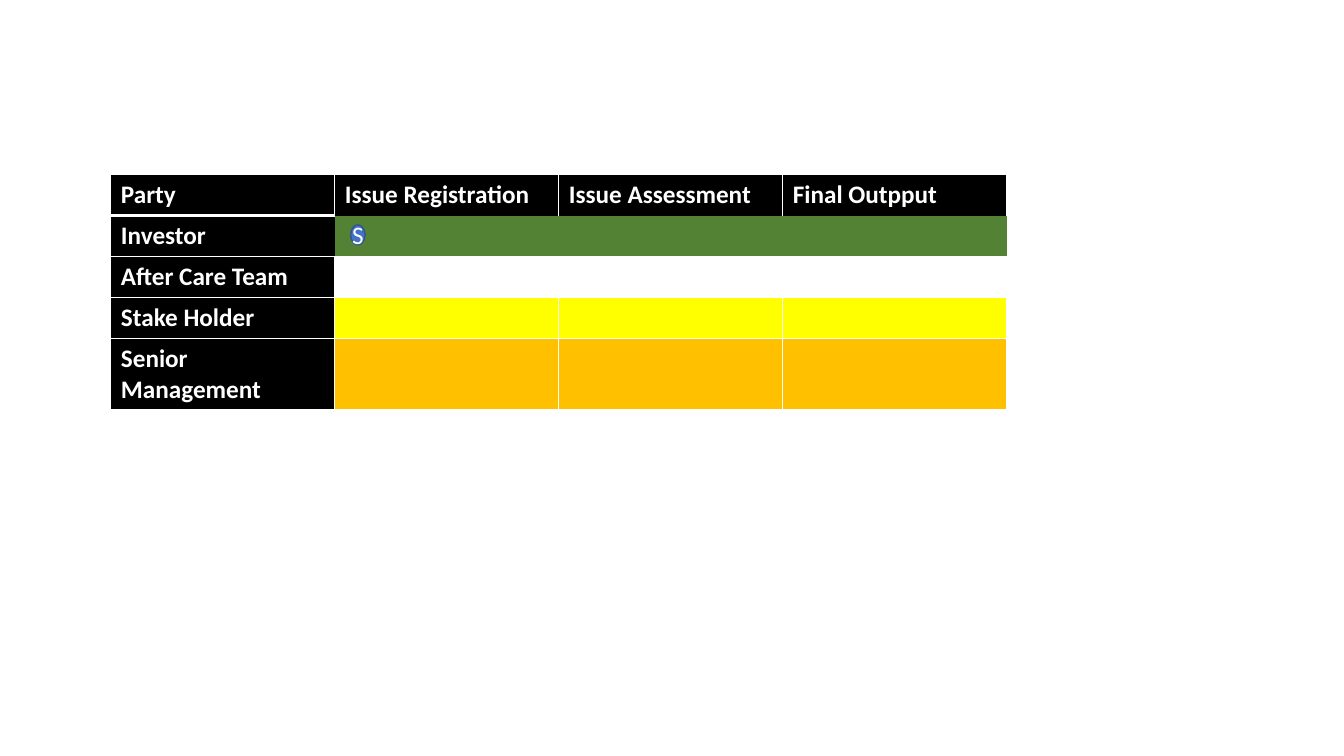
import pptx
import pptx.util
import pptx.dml.color
import pptx.enum.shapes
import pptx.enum.text
import pptx.oxml
import pptx.oxml.ns

Pt = pptx.util.Pt
HEADS = ["Party", "Issue Registration", "Issue Assessment", "Final Outpput"]
ROWS = [
    ("Investor", "548235"),
    ("After Care Team", None),
    ("Stake Holder", "FFFF00"),
    ("Senior Management", "FFC000"),
]
LEFT, TOP, WIDE = 79.2, 124.8, 160
HIGH = [29.2] * 4 + [51.2]
MARK = {"text": "S", "box": (250.4, 160.6, 10.4, 14.4)}


def paint(part, color):
    if color:
        part.solid()
        part.fore_color.rgb = pptx.dml.color.RGBColor.from_string(color)
    else:
        part.background()


def write(para, text, bold):
    run = para.add_run()
    run.text = text
    font = run.font
    font.name, font.size, font.bold = "Calibri", Pt(18), bold
    paint(font.fill, "FFFFFF")


def edge(cell, side, width):
    fill = '<a:solidFill><a:srgbClr val="FFFFFF"/></a:solidFill>' if width else "<a:noFill/>"
    space = pptx.oxml.ns.nsdecls("a")
    line = f'<a:ln{side} {space} w="{int(Pt(width))}">{fill}</a:ln{side}>'
    cell._tc.get_or_add_tcPr().append(pptx.oxml.parse_xml(line))


def widths(row, col):
    size = dict.fromkeys("LRTB", 1)
    if row == 0:
        size["B"] = 0 if col else 3
    elif row == 1 and col:
        size = dict.fromkeys("LRTB", 0)
    elif row == 1:
        size.update(R=0, T=3)
    elif row == 2 and col:
        size["T"] = 0
    return size


deck = pptx.Presentation()
deck.slide_width, deck.slide_height = Pt(960), Pt(540)
slide = deck.slides.add_slide(deck.slide_layouts[6])

frame = slide.shapes.add_table(
    len(HIGH), len(HEADS), Pt(LEFT), Pt(TOP), Pt(WIDE * len(HEADS)), Pt(sum(HIGH)))
table = frame.table
table.horz_banding = False
for row, high in zip(table.rows, HIGH):
    row.height = Pt(high)
for col in table.columns:
    col.width = Pt(WIDE)

grid = [[(head, "000000") for head in HEADS]]
for name, color in ROWS:
    grid.append([(name, "000000")] + [("", color)] * (len(HEADS) - 1))

for r, line in enumerate(grid):
    for c, (text, color) in enumerate(line):
        cell = table.cell(r, c)
        for side, width in widths(r, c).items():
            edge(cell, side, width)
        paint(cell.fill, color)
        if text:
            write(cell.text_frame.paragraphs[0], text, True)

mark = slide.shapes.add_shape(
    pptx.enum.shapes.MSO_SHAPE.FLOWCHART_CONNECTOR, *map(Pt, MARK["box"]))
mark.shadow.inherit = False
paint(mark.fill, "4472C4")
paint(mark.line.fill, "325491")
mark.line.width = Pt(1)
body = mark.text_frame
body.margin_left = body.margin_right = body.margin_top = body.margin_bottom = 0
body.word_wrap = False
body.vertical_anchor = pptx.enum.text.MSO_ANCHOR.MIDDLE
body.paragraphs[0].alignment = pptx.enum.text.PP_ALIGN.CENTER
write(body.paragraphs[0], MARK["text"], False)

deck.save("out.pptx")
